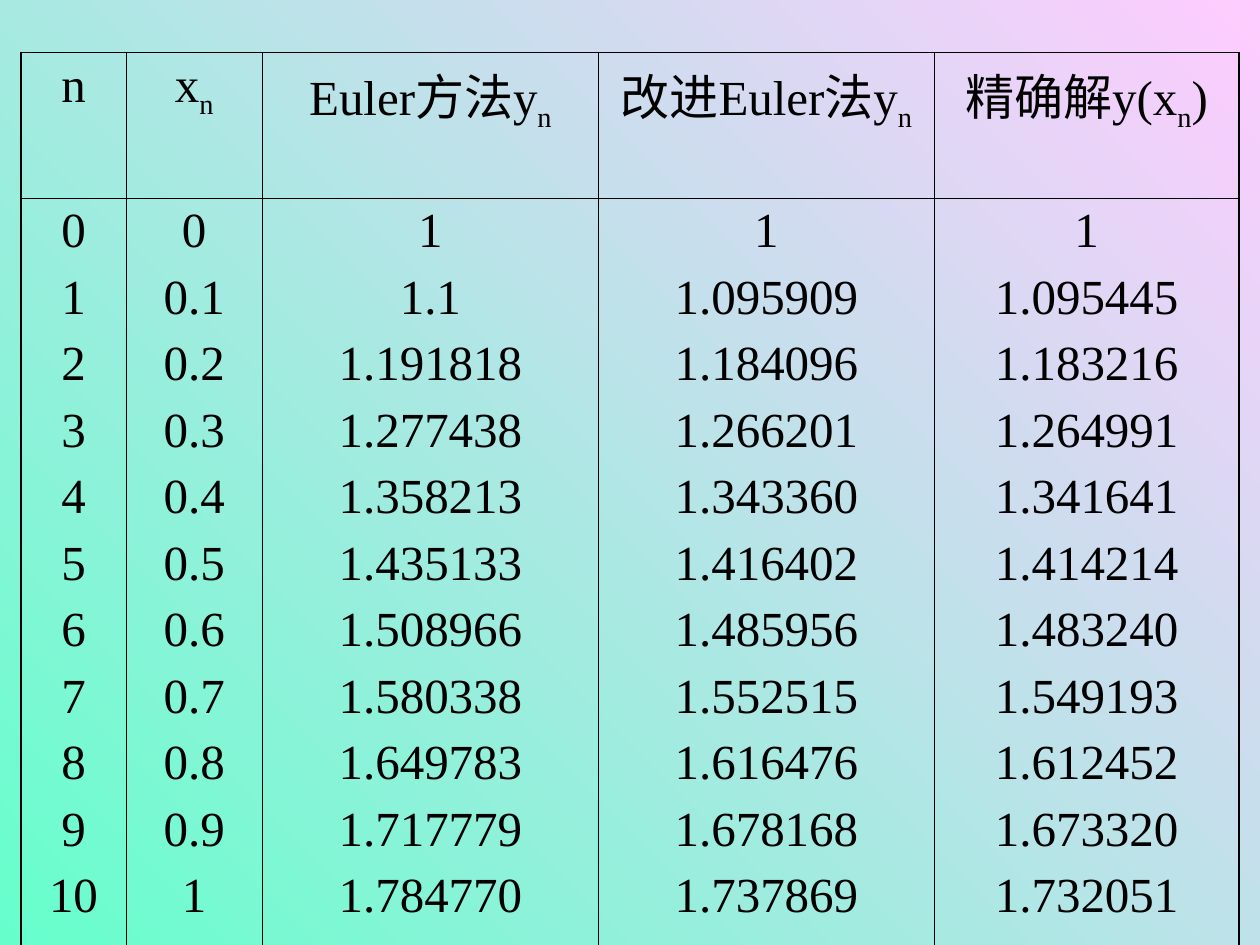
"""Build a slide that sets two Euler methods beside the exact solution."""

import dataclasses

import lxml.etree
import pptx
import pptx.dml.color
import pptx.enum.text
import pptx.oxml.ns
import pptx.table
import pptx.text.text
import pptx.util


@dataclasses.dataclass(frozen=True)
class Theme:
    ink: str = "000000"
    pink: str = "FFCCFF"
    mint: str = "66FFCC"
    font: str = "Times New Roman"
    size: float = 28
    gap: float = 7
    thin: float = 0.45
    thick: float = 1.08
    drop: int = -25


@dataclasses.dataclass(frozen=True)
class Column:
    span: int
    head: tuple[str, ...]
    items: tuple[str, ...]


THEME = Theme()
UNIT = pptx.util.Inches(10) // 120
LEFT, TOP = 2, 5
ROWS = (13.2, 74.5)
STEPS = range(11)
COLUMNS = (
    Column(10, ("n",), tuple(str(step) for step in STEPS)),
    Column(13, ("x", "n"), tuple(f"{step / 10:g}" for step in STEPS)),
    Column(32, ("Euler方法y", "n"), (
        "1", "1.1", "1.191818", "1.277438", "1.358213", "1.435133",
        "1.508966", "1.580338", "1.649783", "1.717779", "1.784770")),
    Column(32, ("改进Euler法y", "n"), (
        "1", "1.095909", "1.184096", "1.266201", "1.343360", "1.416402",
        "1.485956", "1.552515", "1.616476", "1.678168", "1.737869")),
    Column(29, ("精确解y(x", "n", ")"), (
        "1", "1.095445", "1.183216", "1.264991", "1.341641", "1.414214",
        "1.483240", "1.549193", "1.612452", "1.673320", "1.732051")),
)


def tint(code: str) -> pptx.dml.color.RGBColor:
    return pptx.dml.color.RGBColor.from_string(code)


def grid(count: float) -> pptx.util.Emu:
    return pptx.util.Emu(round(count * UNIT))


def paint(slide) -> None:
    fill = slide.background.fill
    fill.gradient()
    fill.gradient_angle = 225
    for stop, code in zip(fill.gradient_stops, (THEME.pink, THEME.mint)):
        stop.color.rgb = tint(code)


def style(para: pptx.text.text._Paragraph) -> None:
    para.alignment = pptx.enum.text.PP_ALIGN.CENTER
    para.space_before = pptx.util.Pt(THEME.gap)
    for run in para.runs:
        run.font.name = THEME.font
        run.font.size = pptx.util.Pt(THEME.size)
        run.font.color.rgb = tint(THEME.ink)


def title(cell: pptx.table._Cell, parts: tuple[str, ...]) -> None:
    para = cell.text_frame.paragraphs[0]
    for place, part in enumerate(parts):
        run = para.add_run()
        run.text = part
        if place % 2:
            run._r.get_or_add_rPr().set("baseline", str(THEME.drop * 1000))


def border(cell: pptx.table._Cell, edges: dict[str, bool]) -> None:
    name = pptx.oxml.ns.qn
    props = cell._tc.get_or_add_tcPr()
    for side, outer in edges.items():
        width = pptx.util.Pt(THEME.thick if outer else THEME.thin)
        line = lxml.etree.SubElement(props, name(f"a:ln{side}"), w=str(width))
        fill = lxml.etree.SubElement(line, name("a:solidFill"))
        lxml.etree.SubElement(fill, name("a:srgbClr"), val=THEME.ink)


def fill_table(table: pptx.table.Table) -> None:
    table.first_row = table.horz_banding = False
    for row, height in zip(table.rows, ROWS):
        row.height = grid(height)
    for place, column in enumerate(COLUMNS):
        table.columns[place].width = grid(column.span)
        head, body = table.cell(0, place), table.cell(1, place)
        title(head, column.head)
        body.text_frame.text = "\n".join(column.items)
        for cell in (head, body):
            border(cell, {"L": place == 0, "R": place == len(COLUMNS) - 1,
                          "T": cell is head, "B": cell is body})
            cell.fill.background()
            for para in cell.text_frame.paragraphs:
                style(para)


def main() -> None:
    deck = pptx.Presentation()
    deck.slide_width, deck.slide_height = grid(120), grid(90)
    slide = deck.slides.add_slide(deck.slide_layouts[6])
    paint(slide)
    width = sum(column.span for column in COLUMNS)
    frame = slide.shapes.add_table(
        len(ROWS), len(COLUMNS), grid(LEFT), grid(TOP), grid(width), grid(sum(ROWS)))
    fill_table(frame.table)
    deck.save("out.pptx")


if __name__ == "__main__":
    main()
